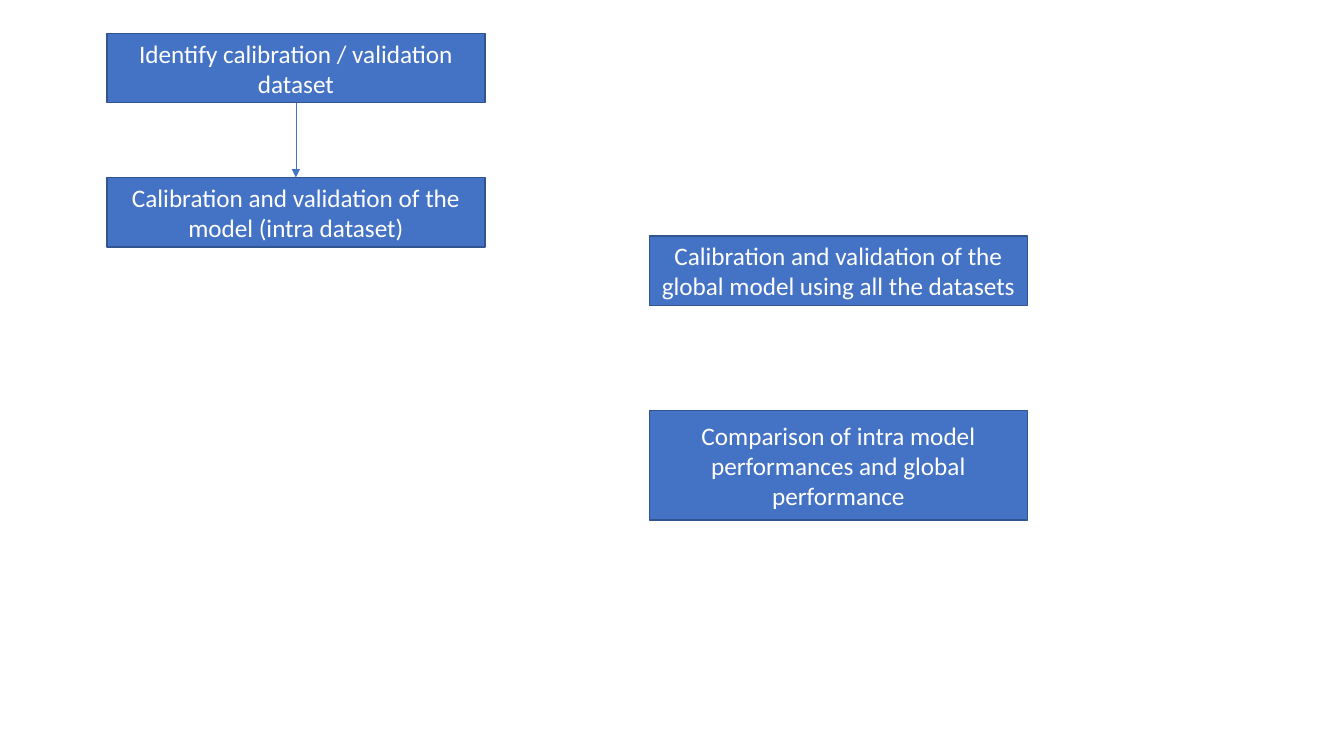
from dataclasses import dataclass

from lxml.etree import SubElement
from pptx import Presentation
from pptx.dml.color import RGBColor
from pptx.enum.shapes import MSO_CONNECTOR as Connector, MSO_SHAPE as Preset
from pptx.enum.text import MSO_ANCHOR as Anchor, PP_ALIGN as Align
from pptx.oxml.ns import qn
from pptx.util import Inches, Pt


@dataclass(frozen=True)
class Theme:
    fill: RGBColor = RGBColor(0x44, 0x72, 0xC4)
    outline: RGBColor = RGBColor(0x32, 0x54, 0x91)
    text: RGBColor = RGBColor(0xFF, 0xFF, 0xFF)
    font: str = "Calibri"
    size: float = 18
    outline_width: float = 1
    arrow_width: float = 0.5


THEME = Theme()
STEP_WIDTH = 3.75
STEP_HEIGHT = 0.69


def write_text(shape, text, *, size=THEME.size, color=THEME.text, align=Align.CENTER):
    frame = shape.text_frame
    frame.word_wrap = True
    frame.vertical_anchor = Anchor.MIDDLE
    paragraph = frame.paragraphs[0]
    paragraph.alignment = align
    run = paragraph.add_run()
    run.text = text
    run.font.name = THEME.font
    run.font.size = Pt(size)
    run.font.color.rgb = color


def add_step(slide, text, left, top, height=STEP_HEIGHT):
    shape = slide.shapes.add_shape(
        Preset.RECTANGLE, Inches(left), Inches(top), Inches(STEP_WIDTH), Inches(height)
    )
    shape.shadow.inherit = False
    shape.fill.solid()
    shape.fill.fore_color.rgb = THEME.fill
    shape.line.color.rgb = THEME.outline
    shape.line.width = Pt(THEME.outline_width)
    write_text(shape, text)
    return shape


def add_arrow(slide, upper, lower):
    arrow = slide.shapes.add_connector(Connector.STRAIGHT, 0, 0, 0, 0)
    arrow.begin_connect(upper, 2)
    arrow.end_connect(lower, 0)
    arrow.line.color.rgb = THEME.fill
    arrow.line.width = Pt(THEME.arrow_width)
    SubElement(arrow.line._get_or_add_ln(), qn("a:tailEnd"), type="triangle")
    SubElement(arrow._element.spPr, qn("a:effectLst"))


def add_intra_model(slide, left, top):
    identify = add_step(slide, "Identify calibration / validation dataset", left, top)
    calibrate = add_step(
        slide, "Calibration and validation of the model (intra dataset)", left, top + 1.43
    )
    add_arrow(slide, identify, calibrate)


def add_global_model(slide, left, top):
    add_step(
        slide, "Calibration and validation of the global model using all the datasets", left, top
    )
    add_step(
        slide,
        "Comparison of intra model performances and global performance",
        left,
        top + 1.73,
        height=1.09,
    )


def main():
    presentation = Presentation()
    presentation.slide_width = Inches(13.33)
    presentation.slide_height = Inches(7.5)
    slide = presentation.slides.add_slide(presentation.slide_layouts[6])
    add_intra_model(slide, left=1.06, top=0.33)
    add_global_model(slide, left=6.44, top=2.34)
    presentation.save("out.pptx")


if __name__ == "__main__":
    main()
